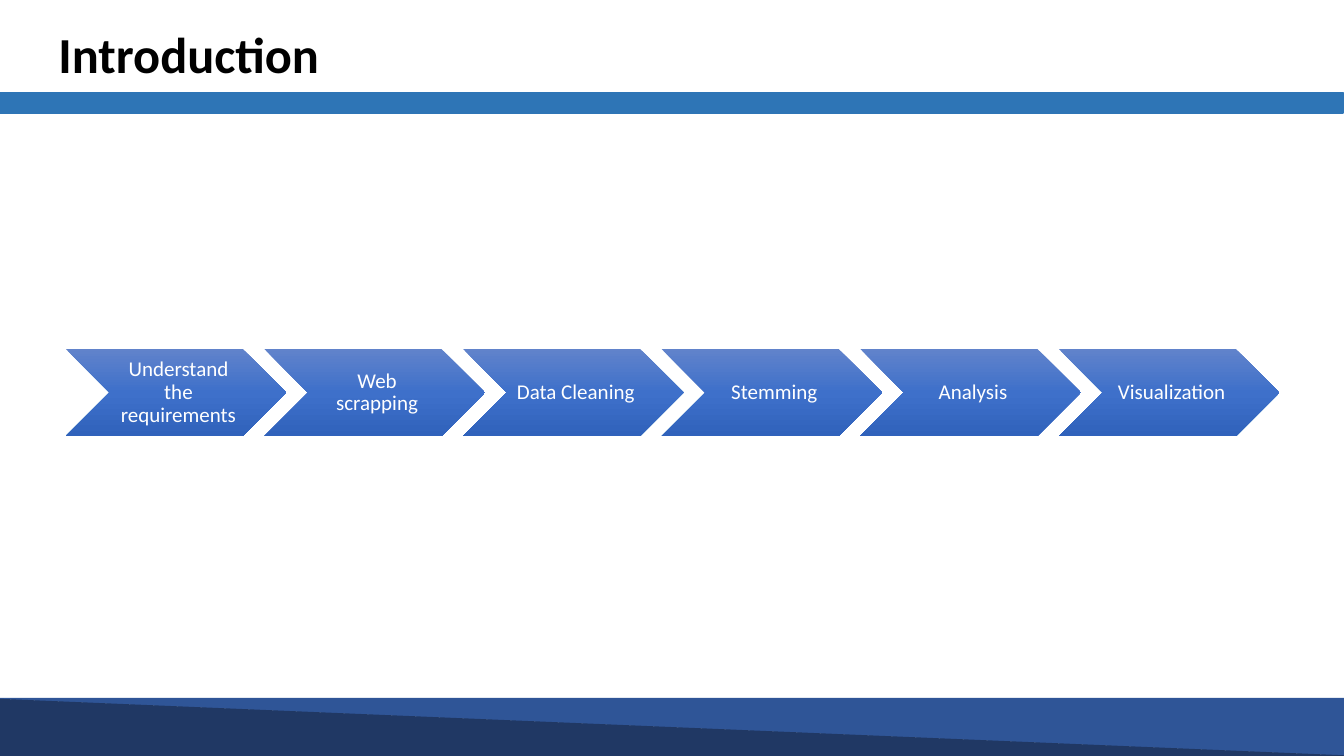
from copy import deepcopy
from dataclasses import dataclass

from pptx import Presentation
from pptx.dml.color import RGBColor
from pptx.enum.shapes import MSO_SHAPE
from pptx.enum.text import MSO_ANCHOR, MSO_AUTO_SIZE, PP_ALIGN
from pptx.oxml.ns import qn
from pptx.util import Inches, Pt


@dataclass(frozen=True)
class Theme:
    font: str = "Calibri"
    title_size: int = 36
    step_size: int = 15
    title_color: str = "000000"
    step_color: str = "FFFFFF"
    bar: str = "2E75B6"
    footer_light: str = "2F5597"
    footer_dark: str = "203864"
    step_stops: tuple = ((0, "6183CB"), (0.5, "3E70CA"), (1, "3062BB"))


STEPS = (
    "Understand the requirements",
    "Web scrapping",
    "Data Cleaning",
    "Stemming",
    "Analysis",
    "Visualization",
)
STEP_LEFT, STEP_TOP = 0.65, 3.46
STEP_WIDTH, STEP_HEIGHT = 2.19, 0.87
STEP_PITCH = 1.97


def write(shape, text, *, font, size, color, bold=False, align=PP_ALIGN.LEFT,
          anchor=MSO_ANCHOR.TOP, insets=(0.1, 0.05, 0.1, 0.05), spacing=1.0):
    """Fill a shape with one paragraph; insets run left, top, right, bottom."""
    frame = shape.text_frame
    frame.word_wrap = True
    frame.auto_size = MSO_AUTO_SIZE.NONE
    frame.vertical_anchor = anchor
    (frame.margin_left, frame.margin_top,
     frame.margin_right, frame.margin_bottom) = map(Inches, insets)
    para = frame.paragraphs[0]
    para.alignment = align
    para.line_spacing = spacing
    span = para.add_run()
    span.text = text
    span.font.name = font
    span.font.size = Pt(size)
    span.font.bold = bold
    span.font.color.rgb = RGBColor.from_string(color)


class SlideBuilder:
    def __init__(self, page, theme):
        self.page = page
        self.theme = theme

    def title(self, text, left, top, width, height):
        box = self.page.shapes.title
        box.left, box.top = Inches(left), Inches(top)
        box.width, box.height = Inches(width), Inches(height)
        write(box, text, font=self.theme.font, size=self.theme.title_size,
              color=self.theme.title_color, bold=True)

    def shape(self, kind, left, top, width, height):
        shape = self.page.shapes.add_shape(
            kind, Inches(left), Inches(top), Inches(width), Inches(height))
        shape.shadow.inherit = False
        return shape

    def band(self, kind, color, left, top, width, height, rotation=0):
        band = self.shape(kind, left, top, width, height)
        band.rotation = rotation
        band.fill.solid()
        band.fill.fore_color.rgb = RGBColor.from_string(color)
        band.line.color.rgb = RGBColor.from_string(color)
        band.line.width = Pt(1)

    def step(self, text, left, top, width, height):
        chevron = self.shape(MSO_SHAPE.CHEVRON, left, top, width, height)
        chevron.line.fill.background()
        self.gradient(chevron)
        write(chevron, text, font=self.theme.font, size=self.theme.step_size,
              color=self.theme.step_color, align=PP_ALIGN.CENTER,
              anchor=MSO_ANCHOR.MIDDLE, insets=(0.07, 0.02, 0.02, 0.02),
              spacing=0.9)

    def gradient(self, shape):
        """Apply the theme's three-stop gradient from top to bottom."""
        fill = shape.fill
        fill.gradient()
        fill.gradient_angle = 270
        stops = next(shape.element.iter(qn("a:gsLst")))
        stops.append(deepcopy(stops[0]))
        for stop, (position, color) in zip(fill.gradient_stops, self.theme.step_stops):
            stop.position = position
            stop.color.rgb = RGBColor.from_string(color)


def main():
    deck = Presentation()
    deck.slide_width, deck.slide_height = Inches(13.33), Inches(7.5)
    theme = Theme()
    slide = SlideBuilder(deck.slides.add_slide(deck.slide_layouts[5]), theme)

    slide.band(MSO_SHAPE.RIGHT_TRIANGLE, theme.footer_light,
               0, 6.93, 13.33, 0.56, rotation=180)
    slide.band(MSO_SHAPE.RIGHT_TRIANGLE, theme.footer_dark, 0, 6.94, 13.33, 0.56)
    slide.band(MSO_SHAPE.RECTANGLE, theme.bar, 0, 0.92, 13.32, 0.2)
    slide.title("Introduction", 0.48, 0.18, 3.58, 0.71)
    for index, text in enumerate(STEPS):
        slide.step(text, STEP_LEFT + index * STEP_PITCH, STEP_TOP,
                   STEP_WIDTH, STEP_HEIGHT)

    deck.save("out.pptx")


if __name__ == "__main__":
    main()
